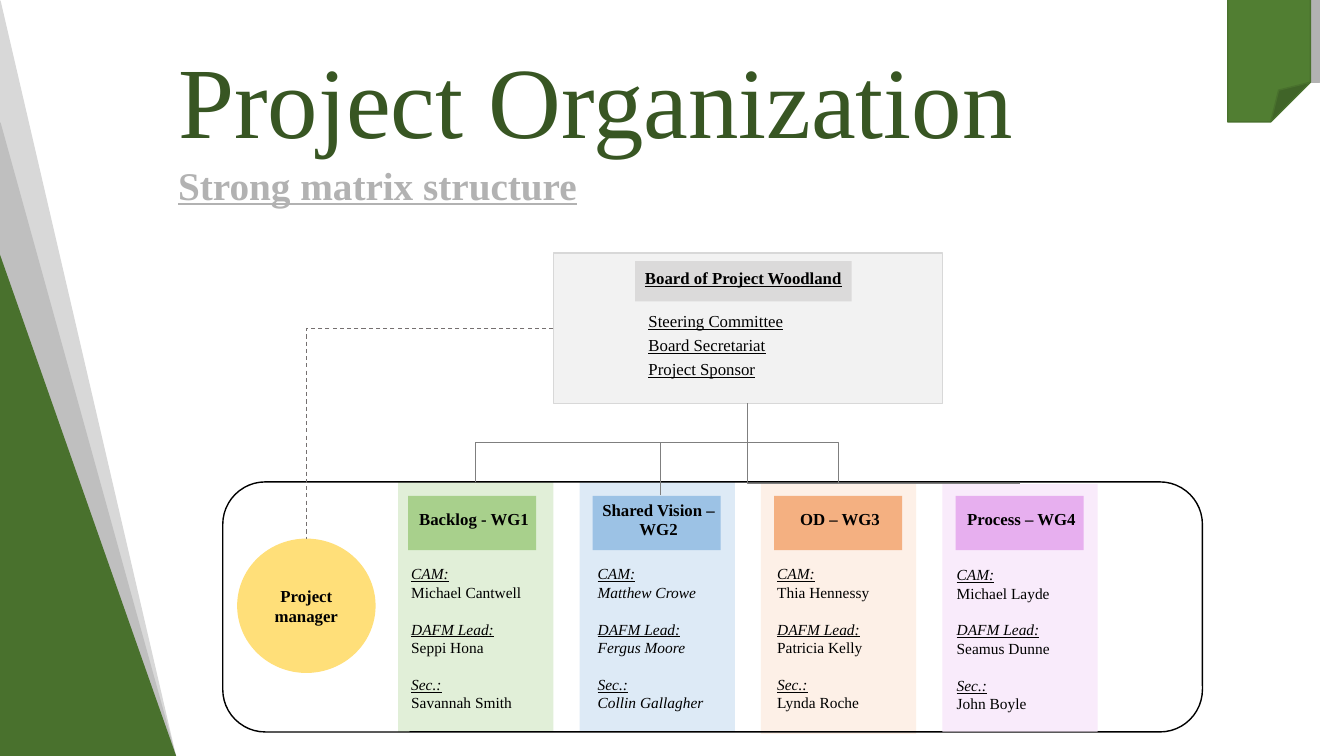
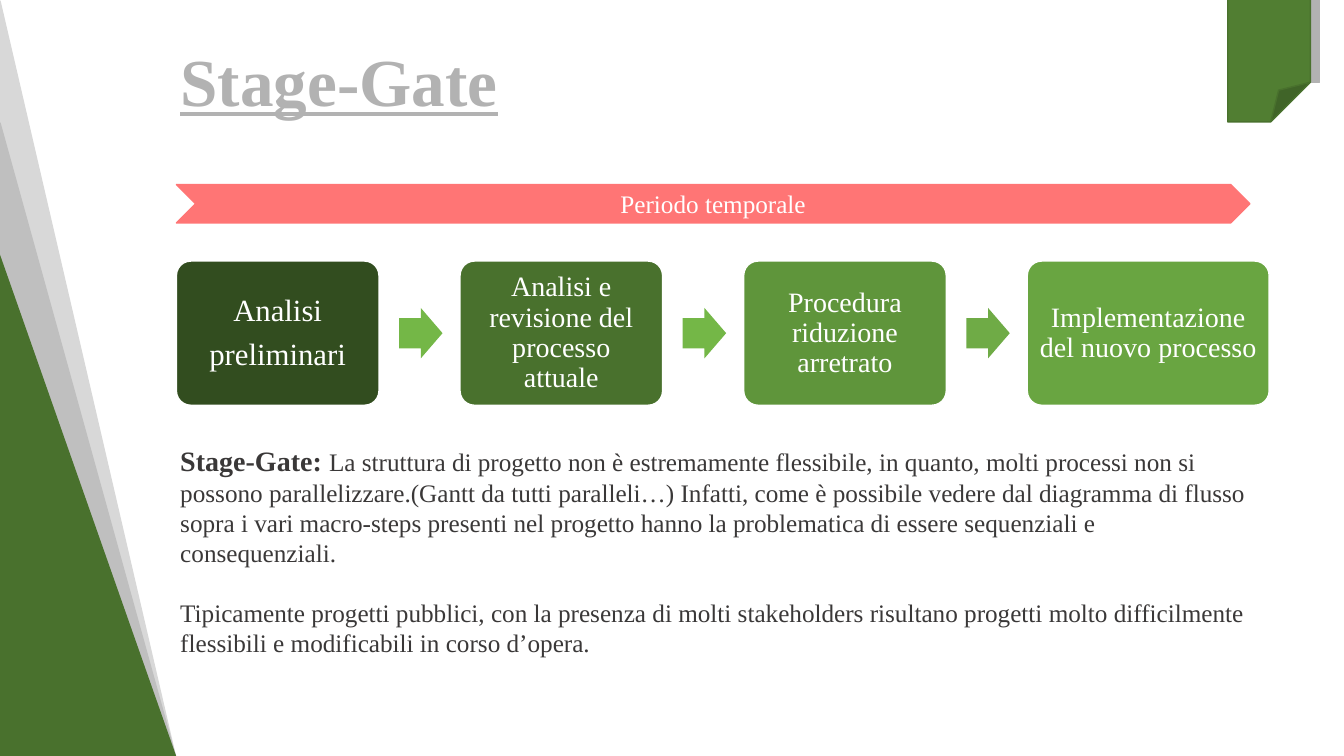
from dataclasses import dataclass

from lxml.etree import SubElement
from pptx import Presentation
from pptx.dml.color import RGBColor
from pptx.enum.dml import MSO_LINE_DASH_STYLE as Dash
from pptx.enum.shapes import MSO_CONNECTOR as Link, MSO_SHAPE as Preset
from pptx.enum.text import MSO_ANCHOR as Anchor, MSO_AUTO_SIZE as Fit, PP_ALIGN as Align
from pptx.oxml.ns import qn
from pptx.util import Pt


@dataclass(frozen=True)
class Theme:
    font: str = "Times New Roman"
    black: str = "000000"
    white: str = "FFFFFF"
    body: str = "3A3838"
    title: str = "385623"
    heading: str = "B2B2B2"
    pale: str = "D8D8D8"
    silver: str = "BFBFBF"
    green: str = "49712D"
    fold: str = "517E32"
    board: str = "F2F2F2"
    board_head: str = "DBDADA"
    manager: str = "FFDF79"
    branch: str = "7F7F7F"
    dashed: str = "757070"
    period: str = "FF7575"
    arrow: str = "74B747"
    last_arrow: str = "6FAB46"
    title_size: float = 72
    heading_size: float = 48
    subtitle_size: float = 28
    first_step_size: float = 22
    step_size: float = 20
    text_size: float = 18
    label_size: float = 12
    detail_size: float = 11


THEME = Theme()
WIDTH, HEIGHT = 960, 540
TIGHT = (0.7, 0.7, 0.7, 4.3)
ROOMY = (7.2, 3.6, 7.2, 3.6)
HEADER = (3.4, 0.7, 0.7, 4.3)
INDENTED = (8.9, 0.7, 0.7, 4.3)


@dataclass(frozen=True)
class Group:
    name: str
    members: tuple
    light: str
    strong: str
    top: float
    height: float
    head_dx: float
    detail_dx: float
    detail_top: float
    italic: bool = False


ROLES = ("CAM:", "DAFM Lead:", "Sec.:")
GROUPS = (
    Group("Backlog - WG1", ("Michael Cantwell", "Seppi Hona", "Savannah Smith"),
          "E1EFD8", "A8D08C", 344.2, 178.6, 7.2, 8.6, 398.9),
    Group("Shared Vision – WG2", ("Matthew Crowe", "Fergus Moore", "Collin Gallagher"),
          "DDEAF6", "9CC2E5", 344.2, 178.6, 9.4, 12.2, 398.9, True),
    Group("OD – WG3", ("Thia Hennessy", "Patricia Kelly", "Lynda Roche"),
          "FDF0E7", "F4B081", 345.6, 178.6, 9.4, 10.8, 398.9),
    Group("Process – WG4", ("Michael Layde", "Seamus Dunne", "John Boyle"),
          "F9EBFB", "E7AFEF", 345.6, 177.1, 9.4, 9.4, 399.6),
)
STEPS = (
    (("Analisi", "preliminari"), "324D1F", 144.7, THEME.first_step_size),
    (("Analisi e revisione del processo attuale",), THEME.green, 144.7, THEME.step_size),
    (("Procedura riduzione arretrato",), "5F953B", 144.7, THEME.step_size),
    (("Implementazione del nuovo processo",), "69A541", 172.8, THEME.step_size),
)


def rgb(color):
    return RGBColor.from_string(color)


def set_guide(properties, name, value):
    geometry = properties.find(qn("a:prstGeom"))
    guides = geometry.find(qn("a:avLst"))
    if guides is None:
        guides = SubElement(geometry, qn("a:avLst"))
    SubElement(guides, qn("a:gd"), name=name, fmla=f"val {round(value * 100000)}")


def add_shape(page, preset, box, fill=None, line=None, width=1, adjust=()):
    shape = page.shapes.add_shape(preset, *map(Pt, box))
    shape.shadow.inherit = False
    if fill:
        shape.fill.solid()
        shape.fill.fore_color.rgb = rgb(fill)
    else:
        shape.fill.background()
    if line:
        shape.line.color.rgb = rgb(line)
        shape.line.width = Pt(width)
    else:
        shape.line.fill.background()
    for index, value in enumerate(adjust):
        shape.adjustments[index] = value
    return shape


def set_frame(shape, margins=ROOMY, anchor=Anchor.MIDDLE):
    frame = shape.text_frame
    frame.word_wrap = True
    frame.auto_size = Fit.NONE
    frame.vertical_anchor = anchor
    frame.margin_left, frame.margin_top, frame.margin_right, frame.margin_bottom = map(Pt, margins)
    return frame


def add_span(para, text, size, color=THEME.black, bold=False, italic=False, underline=False):
    span = para.add_run()
    span.text = text
    font = span.font
    font.name, font.size, font.color.rgb = THEME.font, Pt(size), rgb(color)
    font.bold, font.italic, font.underline = bold, italic, underline


def add_para(frame, text, align=Align.LEFT, spacing=1.0, gap=0, **style):
    first = frame.paragraphs[0]
    para = frame.add_paragraph() if first.runs else first
    para.alignment = align
    para.line_spacing = spacing
    para.space_before = Pt(gap)
    add_span(para, text, **style)
    return para


def add_text_box(page, box, anchor=Anchor.TOP):
    return set_frame(page.shapes.add_textbox(*map(Pt, box)), anchor=anchor)


def add_elbow(page, start, end, color, bend=None, dash=None):
    elbow = page.shapes.add_connector(Link.ELBOW, *map(Pt, (*start, *end)))
    elbow.line.color.rgb = rgb(color)
    elbow.line.width = Pt(0.75)
    if dash:
        elbow.line.dash_style = dash
    properties = elbow.element.spPr
    SubElement(properties, qn("a:effectLst"))
    if bend is None:
        properties.find(qn("a:prstGeom")).set("prst", "bentConnector2")
    else:
        set_guide(properties, "adj1", bend)
    return elbow


def add_drop(page, start, end, bus):
    (left, top), (right, bottom) = start, end
    middle_x, middle_y = (left + right) / 2, (top + bottom) / 2
    leftward = right < left
    half_x = (bottom - top) / 2 * (1 if leftward else -1)
    half_y = abs(right - left) / 2
    elbow = add_elbow(page, (middle_x - half_x, middle_y - half_y),
                      (middle_x + half_x, middle_y + half_y),
                      THEME.branch, (bus - top) / (bottom - top))
    elbow.element.spPr.find(qn("a:xfrm")).set("rot", "5400000" if leftward else "16200000")


def add_decor(page):
    for left, top, color in ((0, 0.7, THEME.pale), (0, 87.8, THEME.silver),
                             (-0.7, 181.4, THEME.green)):
        add_shape(page, Preset.RIGHT_TRIANGLE, (left, top, 125.3 - left, HEIGHT - top), color, color)
    left, top = 877, -2.2
    add_shape(page, Preset.RECTANGLE, (left, top, 65.5, 61.2), THEME.heading, THEME.heading)
    corner = add_shape(page, Preset.FOLDED_CORNER, (left, top, 59, 89.3), THEME.fold, THEME.green)
    set_guide(corner.element.spPr, "adj", 0.48)


def add_page(deck, title, box, anchor, **style):
    page = deck.slides.add_slide(deck.slide_layouts[5])
    holder = page.shapes.title
    holder.left, holder.top, holder.width, holder.height = map(Pt, box)
    add_para(set_frame(holder, anchor=anchor), title, spacing=0.9, **style)
    add_decor(page)
    return page


def add_board(page, box):
    left, top, width, height = box
    add_shape(page, Preset.RECTANGLE, box, THEME.board, THEME.pale, 0.75)
    names = add_shape(page, Preset.RECTANGLE, (left + 59, top + 31, 154.8, 74.9), THEME.board)
    frame = set_frame(names, INDENTED)
    for index, name in enumerate(("Steering Committee", "Board Secretariat", "Project Sponsor")):
        add_para(frame, name, spacing=0.9, gap=4.2 if index else 0,
                 size=THEME.label_size, underline=True)
    head = add_shape(page, Preset.RECTANGLE, (left + 58.3, top + 5.8, 154.8, 28.8), THEME.board_head)
    add_para(set_frame(head, TIGHT), "Board of Project Woodland", Align.CENTER, 0.9,
             size=THEME.label_size, bold=True, underline=True)


def add_group(page, group, left):
    add_shape(page, Preset.RECTANGLE, (left, group.top, 110.9, group.height), group.light)
    head = add_shape(page, Preset.RECTANGLE, (left + group.head_dx, 354.2, 91.4, 38.9), group.strong)
    add_para(set_frame(head, HEADER), group.name, Align.CENTER, 0.9,
             size=THEME.label_size, bold=True)
    details = add_shape(page, Preset.RECTANGLE,
                        (left + group.detail_dx, group.detail_top, 90, 117.4), group.light)
    frame = set_frame(details, TIGHT)
    for index, (role, member) in enumerate(zip(ROLES, group.members)):
        add_para(frame, role, Align.JUSTIFY, gap=13 if index else 0,
                 size=THEME.detail_size, italic=True, underline=True)
        add_para(frame, member, Align.JUSTIFY, size=THEME.detail_size, italic=group.italic)


def add_manager(page, box):
    circle = add_shape(page, Preset.FLOWCHART_CONNECTOR, box, THEME.manager, THEME.manager)
    add_para(set_frame(circle), "Project manager", Align.CENTER, size=THEME.label_size, bold=True)


def add_step(page, box, lines, color, size):
    step = add_shape(page, Preset.ROUNDED_RECTANGLE, box, color, THEME.white, adjust=(0.1,))
    frame = set_frame(step, (5.8,) * 4)
    for index, line in enumerate(lines):
        add_para(frame, line, Align.CENTER, 0.9, 7.7 if index else 0, size=size, color=THEME.white)


def add_flow(page, left, top):
    pitch, height = 202.6, 103
    for index, (lines, color, width, size) in enumerate(STEPS):
        x = left + index * pitch
        add_step(page, (x, top, width, height), lines, color, size)
        if index < len(STEPS) - 1:
            fill = THEME.last_arrow if index == len(STEPS) - 2 else THEME.arrow
            add_shape(page, Preset.RIGHT_ARROW, (x + 159.1, top + (height - 36) / 2, 31, 36), fill,
                      adjust=(0.6, 0.5))


def build_organization(deck):
    page = add_page(deck, "Project Organization", (120.2, 16.6, 720, 101.5), Anchor.BOTTOM,
                    size=THEME.title_size, color=THEME.title)
    add_para(add_text_box(page, (120.2, 115.2, 743.8, 38.9)), "Strong matrix structure",
             spacing=0.9, size=THEME.subtitle_size, color=THEME.heading, bold=True, underline=True)
    add_board(page, (395.3, 180.7, 277.9, 107.3))
    lefts = [284.4 + index * 129.6 for index in range(len(GROUPS))]
    for group, left in zip(GROUPS[:3], lefts):
        add_group(page, group, left)
    add_shape(page, Preset.ROUNDED_RECTANGLE, (159.1, 344.2, 699.8, 178.6), line=THEME.black,
              adjust=(0.17,))
    add_group(page, GROUPS[3], lefts[3])
    add_manager(page, (169.9, 385.2, 97.9, 95))
    add_elbow(page, (395.3, 234.7), (218.9, 385.2), THEME.dashed, dash=Dash.DASH)
    start = (534.2, 288)
    for end in ((339.8, 344.2), (471.6, 353.5), (599, 345.6)):
        add_drop(page, start, end, 316.1)
    add_elbow(page, start, (728.6, 345.6), THEME.branch, 0)


def build_stage_gate(deck):
    page = add_page(deck, "Stage-Gate", (121.7, 31, 743.8, 76.3), Anchor.TOP,
                    size=THEME.heading_size, color=THEME.heading, bold=True, underline=True)
    period = add_shape(page, Preset.CHEVRON, (126, 131.8, 766.8, 27.4), THEME.period, THEME.period,
                       adjust=(0.5,))
    add_para(set_frame(period), "Periodo temporale", Align.CENTER,
             size=THEME.text_size, color=THEME.white)
    add_flow(page, 126, 186.5)
    frame = add_text_box(page, (121.7, 313.2, 782.6, 162.7))
    para = add_para(frame, "Stage-Gate: ", size=THEME.step_size, color=THEME.body, bold=True)
    add_span(para, "La struttura di progetto non è estremamente flessibile, in quanto, molti processi "
             "non si possono parallelizzare.(Gantt da tutti paralleli…) Infatti, come è possibile "
             "vedere dal diagramma di flusso sopra i vari macro-steps presenti nel progetto hanno la "
             "problematica di essere sequenziali e consequenziali.",
             size=THEME.text_size, color=THEME.body)
    add_para(frame, "Tipicamente progetti pubblici, con la presenza di molti stakeholders risultano "
             "progetti molto difficilmente flessibili e modificabili in corso d’opera.",
             gap=21, size=THEME.text_size, color=THEME.body)


def main():
    deck = Presentation()
    deck.slide_width, deck.slide_height = Pt(WIDTH), Pt(HEIGHT)
    build_organization(deck)
    build_stage_gate(deck)
    deck.save("out.pptx")


if __name__ == "__main__":
    main()
